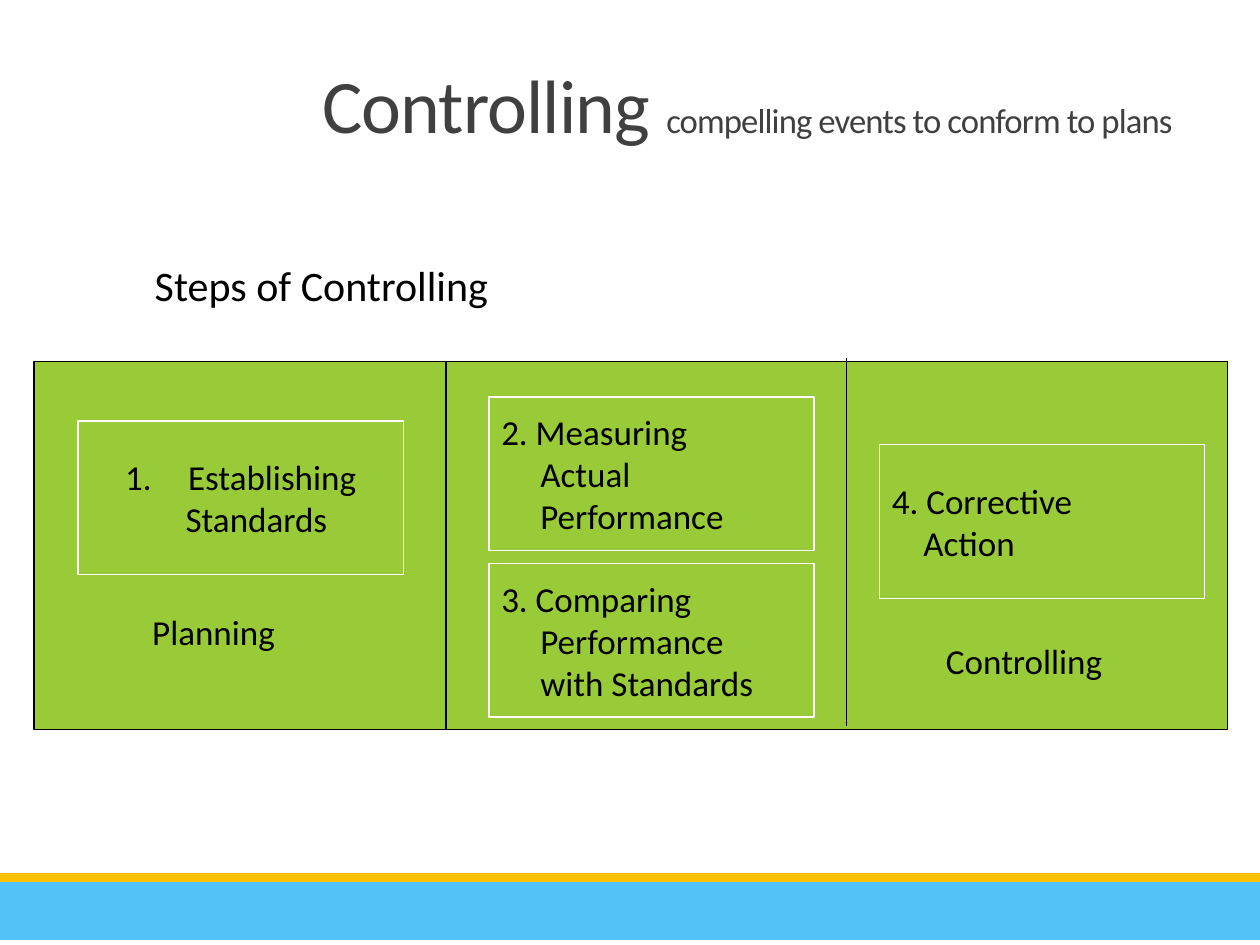
from dataclasses import dataclass

import pptx
import pptx.dml.color
import pptx.enum.shapes
import pptx.enum.text
import pptx.oxml.ns
import pptx.util
from pptx.util import Inches

ALIGN = pptx.enum.text.PP_ALIGN
ANCHOR = pptx.enum.text.MSO_ANCHOR


@dataclass(frozen=True)
class Theme:
    font: str = "Calibri"
    black: str = "000000"
    white: str = "FFFFFF"
    title: str = "404040"
    panel: str = "99CB38"
    band: str = "51C3F9"
    stripe: str = "FFC000"
    title_size: float = 43.2
    subtitle_size: float = 19.8
    heading_size: float = 24
    body_size: float = 20
    line_width: float = 0.75


@dataclass(frozen=True)
class Step:
    left: float
    top: float
    lines: tuple[str, ...]
    indent: float
    numbered: bool = False


@dataclass(frozen=True)
class Label:
    left: float
    top: float
    width: float
    text: str
    size: float


THEME = Theme()
STEP_WIDTH, STEP_HEIGHT = 2.58, 1.22
STEPS = (
    Step(0.62, 3.34, ("Establishing", "Standards"), 0.25, numbered=True),
    Step(3.88, 3.15, ("2. Measuring", "Actual", "Performance"), 0.31),
    Step(3.88, 4.47, ("3. Comparing", "Performance", "with Standards"), 0.31),
    Step(6.98, 3.53, ("4. Corrective", "Action"), 0.25),
)
LABELS = (
    Label(1.13, 2.01, 2.93, "Steps of Controlling", THEME.heading_size),
    Label(1.11, 4.8, 1.4, "Planning", THEME.body_size),
    Label(7.41, 5.03, 1.67, "Controlling", THEME.body_size),
)
DIVIDERS = ((3.54, 2.87), (6.72, 2.84))
DIVIDER_HEIGHT = 2.92


def rgb(value: str) -> pptx.dml.color.RGBColor:
    return pptx.dml.color.RGBColor.from_string(value)


def format_span(span, size: float, color: str = THEME.black) -> None:
    span.font.name = THEME.font
    span.font.size = pptx.util.Pt(size)
    span.font.color.rgb = rgb(color)


def add_box(page, left: float, top: float, width: float, height: float,
            fill: str, line: str | None = None):
    box = page.shapes.add_shape(
        pptx.enum.shapes.MSO_SHAPE.RECTANGLE,
        Inches(left), Inches(top), Inches(width), Inches(height))
    box.shadow.inherit = False
    box.fill.solid()
    box.fill.fore_color.rgb = rgb(fill)
    if line is None:
        box.line.fill.background()
    else:
        box.line.color.rgb = rgb(line)
        box.line.width = pptx.util.Pt(THEME.line_width)
    return box


def indent_para(para, margin: float, first: float = 0):
    properties = para._p.get_or_add_pPr()
    properties.set("marL", str(Inches(margin)))
    properties.set("indent", str(Inches(first)))
    return properties


def add_step(page, step: Step) -> None:
    box = add_box(page, step.left, step.top, STEP_WIDTH, STEP_HEIGHT,
                  THEME.panel, THEME.white)
    frame = box.text_frame
    frame.word_wrap = True
    frame.vertical_anchor = ANCHOR.MIDDLE
    frame.text = "\n".join(step.lines)
    for para in frame.paragraphs:
        para.alignment = ALIGN.CENTER if step.numbered else ALIGN.LEFT
        indent_para(para, step.indent)
        format_span(para.runs[0], THEME.body_size)
    if step.numbered:
        properties = indent_para(frame.paragraphs[0], 0.5, -0.5)
        number = pptx.oxml.parse_xml(
            f'<a:buAutoNum {pptx.oxml.ns.nsdecls("a")} type="arabicPeriod"/>')
        properties.append(number)
    else:
        indent_para(frame.paragraphs[0], step.indent, -step.indent)


def add_label(page, label: Label) -> None:
    box = page.shapes.add_textbox(Inches(label.left), Inches(label.top),
                                  Inches(label.width), Inches(0.5))
    box.text_frame.word_wrap = True
    box.text_frame.text = label.text
    format_span(box.text_frame.paragraphs[0].runs[0], label.size)


def add_divider(page, left: float, top: float) -> None:
    line = page.shapes.add_connector(
        pptx.enum.shapes.MSO_CONNECTOR.STRAIGHT, Inches(left), Inches(top),
        Inches(left), Inches(top + DIVIDER_HEIGHT))
    line.line.color.rgb = rgb(THEME.black)
    line.line.width = pptx.util.Pt(THEME.line_width)
    line._element.spPr.append(pptx.oxml.parse_xml(
        f'<a:effectLst {pptx.oxml.ns.nsdecls("a")}/>'))


def set_title(page) -> None:
    title = page.shapes.title
    title.left, title.top = Inches(1.86), Inches(0.54)
    title.width, title.height = Inches(8.14), Inches(0.69)
    frame = title.text_frame
    frame.auto_size = pptx.enum.text.MSO_AUTO_SIZE.NONE
    frame.word_wrap = True
    frame.vertical_anchor = ANCHOR.BOTTOM
    para = frame.paragraphs[0]
    para.alignment = ALIGN.CENTER
    para.line_spacing = 0.85
    for text, size in (("Controlling ", THEME.title_size),
                       ("compelling events to conform to plans",
                        THEME.subtitle_size)):
        span = para.add_run()
        span.text = text
        format_span(span, size, THEME.title)
        span.font._element.set("spc", "-50")


def main() -> None:
    deck = pptx.Presentation()
    deck.slide_width, deck.slide_height = Inches(10), Inches(7.5)
    page = deck.slides.add_slide(deck.slide_layouts.get_by_name("Title Only"))
    set_title(page)
    add_box(page, 0, 6.96, 10, 0.5, THEME.band)
    add_box(page, 0, 6.93, 10, 0.07, THEME.stripe)
    add_box(page, 0.27, 2.87, 9.47, 2.92, THEME.panel, THEME.black)
    for left, top in DIVIDERS:
        add_divider(page, left, top)
    for step in STEPS:
        add_step(page, step)
    for label in LABELS:
        add_label(page, label)
    deck.save("out.pptx")


if __name__ == "__main__":
    main()
